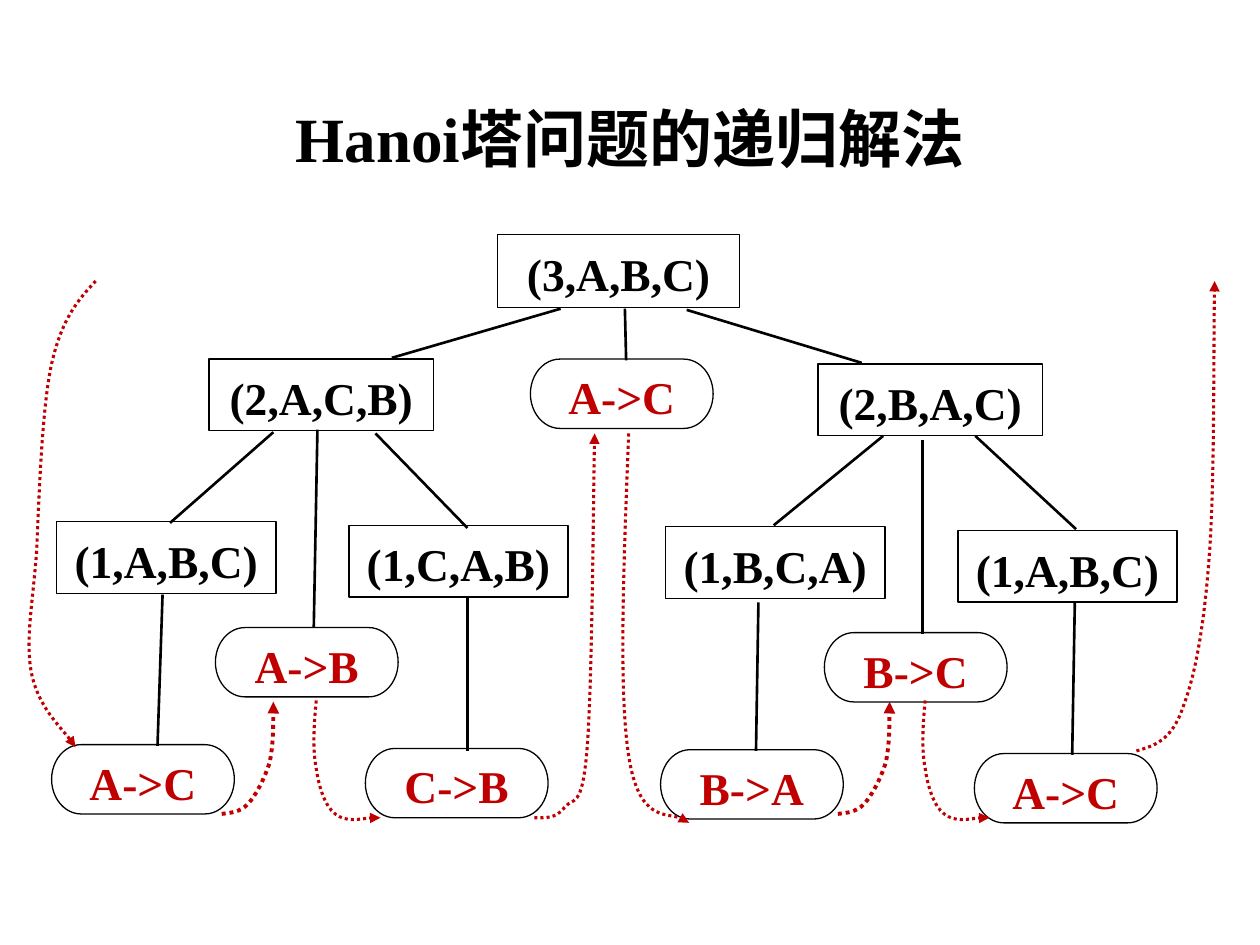
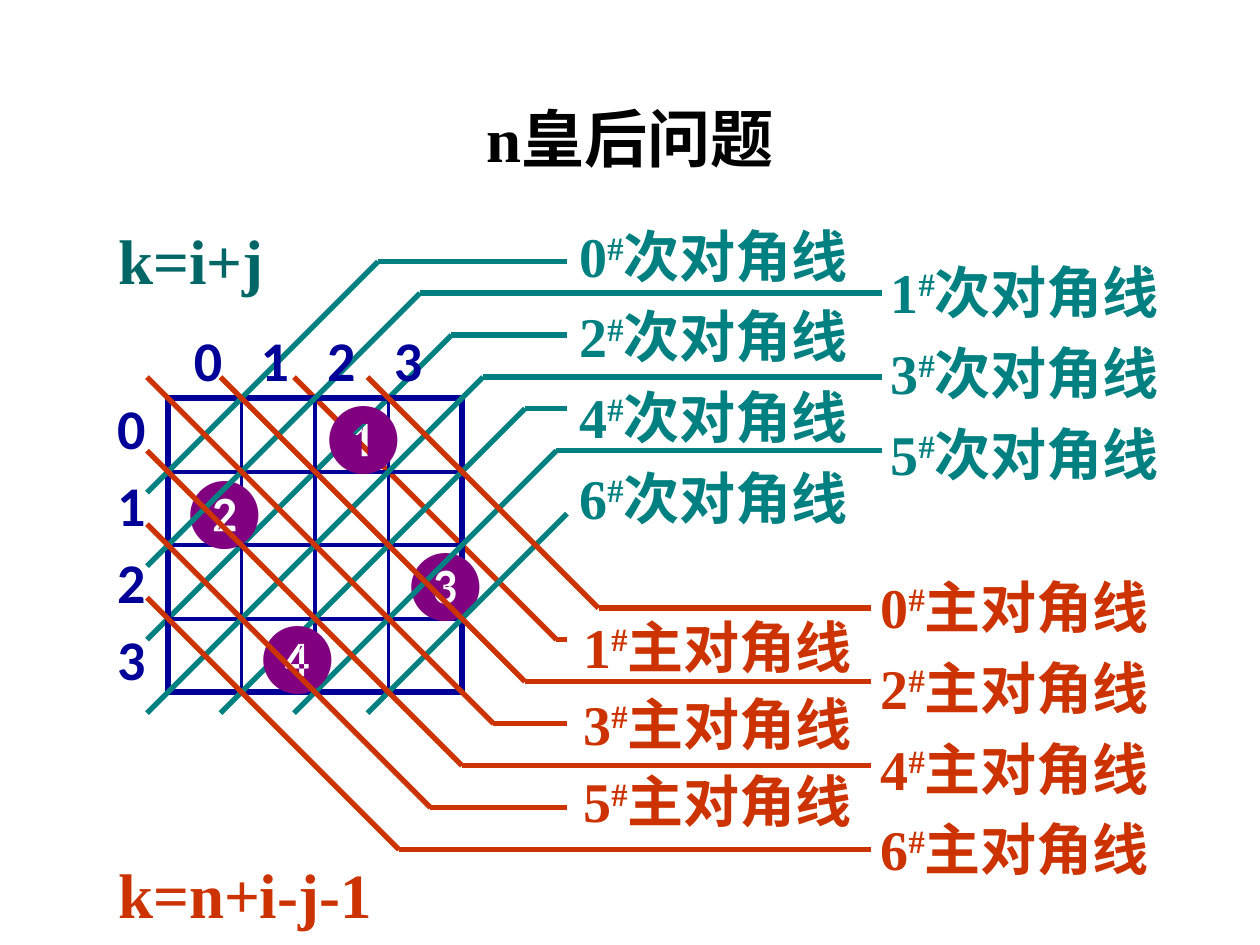
from dataclasses import dataclass
from typing import NamedTuple

from lxml.etree import SubElement
from pptx import Presentation
from pptx.dml.color import RGBColor
from pptx.enum.dml import MSO_LINE
from pptx.enum.shapes import MSO_CONNECTOR, MSO_SHAPE
from pptx.enum.text import MSO_ANCHOR, PP_ALIGN
from pptx.oxml.ns import qn
from pptx.shapes.autoshape import Shape
from pptx.slide import Slide
from pptx.text.text import TextFrame
from pptx.util import Pt


class Point(NamedTuple):
    x: float
    y: float


class Area(NamedTuple):
    left: float
    top: float
    width: float
    height: float


class TextStyle(NamedTuple):
    size: float
    color: RGBColor
    font: str = "Times New Roman"
    bold: bool = True
    east_asian: str = "Noto Sans CJK SC"


@dataclass(frozen=True)
class Theme:
    black: RGBColor = RGBColor(0, 0, 0)
    red: RGBColor = RGBColor(0xC0, 0, 0)
    teal: RGBColor = RGBColor(0, 0x80, 0x80)
    dark_teal: RGBColor = RGBColor(0, 0x66, 0x66)
    orange: RGBColor = RGBColor(0xCC, 0x33, 0)
    navy: RGBColor = RGBColor(0, 0, 0x99)
    purple: RGBColor = RGBColor(0x80, 0, 0x80)
    title_size: float = 36
    label_size: float = 32
    node_size: float = 26
    queen_size: float = 40
    outline: float = 0.75
    edge: float = 1.5
    thin: float = 2.25
    thick: float = 3


THEME = Theme()


class Node(NamedTuple):
    text: str
    area: Area
    is_move: bool = False


class Curve(NamedTuple):
    points: list[tuple[float, float]]
    shift: float = 0
    width: float = 1.75


class Diagonal(NamedTuple):
    start: Point
    bend: Point
    leader_end: float
    color: RGBColor


class LabelColumn(NamedTuple):
    area: Area
    numbers: range
    name: str
    color: RGBColor
    spacing: float = 1.2


def fill_text(frame: TextFrame, lines: list[str], style: TextStyle,
              spacing: float | None = None, align: PP_ALIGN = PP_ALIGN.LEFT) -> None:
    for index, line in enumerate(lines):
        para = frame.add_paragraph() if index else frame.paragraphs[0]
        para.alignment = align
        para.line_spacing = spacing
        para.font.size = Pt(style.size)
        para.font.bold = style.bold
        para.font.color.rgb = style.color
        para.font.name = style.font
        defaults = para._p.get_or_add_pPr().find(qn("a:defRPr"))
        if style.east_asian:
            SubElement(defaults, qn("a:ea"), typeface=style.east_asian)
        for piece in filter(None, line.partition("#")):
            span = para.add_run()
            span.text = piece
            if piece == "#":
                span._r.get_or_add_rPr().set("baseline", "30000")


def add_text(page: Slide, area: Area, lines: list[str], style: TextStyle,
             spacing: float | None = None, wrap: bool = False,
             align: PP_ALIGN = PP_ALIGN.LEFT) -> Shape:
    box = page.shapes.add_textbox(*map(Pt, area))
    box.text_frame.word_wrap = wrap
    fill_text(box.text_frame, lines, style, spacing, align)
    return box


def add_line(page: Slide, start: Point, end: Point, color: RGBColor, width: float) -> None:
    line = page.shapes.add_connector(MSO_CONNECTOR.STRAIGHT, *map(Pt, (*start, *end)))
    line.line.color.rgb = color
    line.line.width = Pt(width)
    SubElement(line._element.spPr, qn("a:effectLst"))


def add_title(page: Slide, text: str) -> None:
    box = add_text(page, Area(49.7, 28.8, 620.6, 104.4), [text],
                   TextStyle(THEME.title_size, THEME.black), 0.9, True, PP_ALIGN.CENTER)
    box.text_frame.vertical_anchor = MSO_ANCHOR.MIDDLE


def add_node(page: Slide, node: Node, shift: Point = Point(0, 0)) -> None:
    kind = MSO_SHAPE.FLOWCHART_TERMINATOR if node.is_move else MSO_SHAPE.RECTANGLE
    left, top, width, height = node.area
    shape = page.shapes.add_shape(
        kind, Pt(left + shift.x), Pt(top + shift.y), Pt(width), Pt(height))
    shape.shadow.inherit = False
    shape.fill.background()
    shape.line.color.rgb = THEME.black
    shape.line.width = Pt(THEME.outline)
    frame = shape.text_frame
    frame.word_wrap = False
    frame.vertical_anchor = MSO_ANCHOR.MIDDLE
    frame.margin_left = frame.margin_right = frame.margin_bottom = 0
    frame.margin_top = Pt(3)
    color = THEME.red if node.is_move else THEME.black
    fill_text(frame, [node.text], TextStyle(THEME.node_size, color), align=PP_ALIGN.CENTER)


def add_curve(page: Slide, curve: Curve) -> None:
    points = [(Pt(x + curve.shift), Pt(y)) for x, y in curve.points]
    builder = page.shapes.build_freeform(*points[0])
    builder.add_line_segments(points[1:], close=False)
    shape = builder.convert_to_shape()
    segments = list(shape._element.iter(qn("a:lnTo")))
    outline = segments[0].getparent()
    for first in range(0, len(segments), 3):
        bend = SubElement(outline, qn("a:cubicBezTo"))
        for segment in segments[first:first + 3]:
            bend.append(segment[0])
            outline.remove(segment)
    shape.shadow.inherit = False
    shape.fill.background()
    shape.line.color.rgb = THEME.red
    shape.line.width = Pt(curve.width)
    shape.line.dash_style = MSO_LINE.ROUND_DOT
    SubElement(shape._element.spPr.find(qn("a:ln")), qn("a:tailEnd"), type="triangle")


def move(text: str, left: float, top: float) -> Node:
    return Node(text, Area(left, top, 104.4, 39.6), True)


ROOT_NODES = [Node("(3,A,B,C)", Area(284.4, 133.9, 138.2, 41.8)), move("A->C", 303.1, 205.2)]
SUBTREE_NODES = [
    Node("", Area(119.5, 205.2, 128.2, 41)),
    Node("", Area(32.4, 298.1, 125.3, 41)),
    Node("", Area(199.4, 300.2, 125.3, 41)),
    move("", 29.5, 425.5),
    move("", 123.1, 358.6),
    move("", 208.8, 427.7),
]
SUBTREES = [
    (Point(0, 0), ["(2,A,C,B)", "(1,A,B,C)", "(1,C,A,B)", "A->C", "A->B", "C->B"]),
    (Point(348, 2.9), ["(2,B,A,C)", "(1,B,C,A)", "(1,A,B,C)", "B->A", "B->C", "A->C"]),
]
TREE_EDGES = [
    (320.4, 176.4, 223.9, 204.5), (357.1, 176.4, 357.8, 205.9), (392.4, 177.1, 492.5, 207.4),
    (156.2, 247, 97.2, 298.8), (181.4, 245.5, 179.3, 358.6), (214.6, 247.7, 267.1, 301.7),
    (92.9, 339.8, 90, 426.2), (267.1, 341.3, 267.1, 429.1),
    (504.7, 249.1, 442.1, 300.2), (527, 251.3, 527, 362.2), (557.3, 249.1, 614.9, 302.4),
    (433.4, 344.2, 432, 429.1), (614.2, 344.2, 612.7, 431.3),
]
RISE = [(126.7, 465.1), (131.8, 464.4), (136.8, 464.4), (141.8, 459.4), (146.2, 454.3),
        (151.2, 445), (154.1, 435.6), (156.2, 425.5), (156.2, 406.8), (156.2, 401)]
DROP = [(180.7, 400.3), (179.3, 414.7), (178.6, 428.4), (180.7, 439.2), (182.2, 450),
        (185.8, 460.8), (191.5, 465.1), (198, 470.2), (213.1, 466.6), (217.4, 467.3)]
CLIMB = [(305.3, 467.3), (311.8, 467.3), (317.5, 468), (322.6, 461.5), (327.6, 455),
         (332.6, 463.7), (335.5, 427.7), (338.4, 392.4), (339.1, 277.9), (339.8, 247.7)]
DESCEND = [(359.3, 247.7), (356.4, 321.1), (353.5, 395.3), (359.3, 432),
           (365, 469.4), (388.1, 463.7), (393.8, 470.2)]
ENTER = [(54.7, 160.6), (44.6, 171.4), (35.3, 182.2), (29.5, 208.1), (23.8, 234),
         (22.3, 286.6), (20.9, 316.1), (18.7, 344.9), (14.4, 366.5), (18, 384.5),
         (21.6, 403.2), (38.9, 419.8), (43.2, 427)]
LEAVE = [(649.4, 429.1), (659.5, 426.2), (669.6, 423.4), (676.1, 403.9), (683.3, 385.2),
         (688.3, 356.4), (691.2, 315.4), (694.1, 275), (693.4, 186.5), (694.1, 160.6)]
CALL_ORDER = [
    Curve(ENTER), Curve(RISE, width=2.25), Curve(DROP), Curve(CLIMB), Curve(DESCEND),
    Curve(RISE, 352.1, 2.25), Curve(DROP, 348), Curve(LEAVE),
]

BOARD = Point(96, 227.5)
CELL = 42
SIDE = 4
OVERHANG = 12
SECONDARY_BENDS = [149.5, 167.5, 191.5, 215.5, 233.5, 257.5, 293.5]
MAIN_BENDS = [347.5, 365.5, 389.5, 413.5, 437.5, 461.5, 485.5]
QUEENS = [("❶", 174.2, 221), ("❷", 95, 263.5), ("❸", 221, 304.6), ("❹", 136.8, 346.3)]
LABELS = [
    LabelColumn(Area(324, 115.2, 183.6, 191.5), range(0, 7, 2), "次对角线", THEME.teal),
    LabelColumn(Area(501.8, 136.1, 190.1, 145.4), range(1, 6, 2), "次对角线", THEME.teal),
    LabelColumn(Area(496.1, 316.1, 198, 191.5), range(0, 7, 2), "主对角线", THEME.orange),
    LabelColumn(Area(326.2, 340.6, 188.6, 139.7), range(1, 6, 2), "主对角线", THEME.orange, 1.15),
]


def secondary_diagonal(number: int) -> Diagonal:
    column = max(0, number - SIDE + 1)
    row = min(number, SIDE - 1)
    start = Point(BOARD.x - OVERHANG + CELL * column,
                  BOARD.y + OVERHANG + CELL * (row + 1))
    height = SECONDARY_BENDS[number]
    bend = Point(start.x + start.y - height, height)
    return Diagonal(start, bend, 504 if number % 2 else 324, THEME.teal)


def main_diagonal(number: int) -> Diagonal:
    column = max(0, SIDE - 1 - number)
    row = max(0, number - SIDE + 1)
    start = Point(BOARD.x - OVERHANG + CELL * column, BOARD.y - OVERHANG + CELL * row)
    height = MAIN_BENDS[number]
    bend = Point(start.x + height - start.y, height)
    return Diagonal(start, bend, 324 if number % 2 else 498, THEME.orange)


def add_diagonal(page: Slide, diagonal: Diagonal) -> None:
    add_line(page, diagonal.start, diagonal.bend, diagonal.color, THEME.thick)
    if diagonal.leader_end > diagonal.bend.x:
        end = Point(diagonal.leader_end, diagonal.bend.y)
        add_line(page, diagonal.bend, end, diagonal.color, THEME.thick)


def add_board(page: Slide) -> None:
    far = Point(BOARD.x + CELL * SIDE, BOARD.y + CELL * SIDE)
    for index in range(SIDE + 1):
        width = THEME.thick if index in (0, SIDE) else THEME.thin
        x, y = BOARD.x + CELL * index, BOARD.y + CELL * index
        add_line(page, Point(BOARD.x, y), Point(far.x, y), THEME.navy, width)
        add_line(page, Point(x, BOARD.y), Point(x, far.y), THEME.navy, width)


def add_queen(page: Slide, text: str, left: float, top: float) -> None:
    style = TextStyle(THEME.queen_size, THEME.purple, "Calibri", False, "")
    add_text(page, Area(left, top, 50.4, 55.4), [text], style)


def add_indices(page: Slide) -> None:
    style = TextStyle(THEME.label_size, THEME.navy, "Calibri", True, "")
    digits = [str(index) for index in range(SIDE)]
    columns = add_text(page, Area(103.7, 182.2, 166.3, 45.4), ["\t".join(digits)], style, wrap=True)
    properties = columns.text_frame.paragraphs[0]._p.get_or_add_pPr()
    stops = SubElement(properties, qn("a:tabLst"))
    properties.find(qn("a:defRPr")).addprevious(stops)
    for index in range(1, SIDE):
        SubElement(stops, qn("a:tab"), pos=str(Pt(38.1 * index)), algn="l")
    add_text(page, Area(59.8, 215.3, 30.2, 183.6), digits, style, 1.15)


def build_hanoi(page: Slide) -> None:
    add_title(page, "Hanoi塔问题的递归解法")
    for node in ROOT_NODES:
        add_node(page, node)
    for shift, texts in SUBTREES:
        for node, text in zip(SUBTREE_NODES, texts):
            add_node(page, node._replace(text=text), shift)
    for x1, y1, x2, y2 in TREE_EDGES:
        add_line(page, Point(x1, y1), Point(x2, y2), THEME.black, THEME.edge)
    for curve in CALL_ORDER:
        add_curve(page, curve)


def build_queens(page: Slide) -> None:
    add_title(page, "n皇后问题")
    add_diagonal(page, main_diagonal(1))
    add_diagonal(page, secondary_diagonal(2))
    add_board(page)
    for queen in QUEENS[:3]:
        add_queen(page, *queen)
    for number in (0, 1, 3, 4, 5, 6):
        add_diagonal(page, secondary_diagonal(number))
    for number in (0, 2, 4, 6):
        add_diagonal(page, main_diagonal(number))
    add_queen(page, *QUEENS[3])
    for number in (3, 5):
        add_diagonal(page, main_diagonal(number))
    for column in LABELS:
        add_text(page, column.area, [f"{number}#{column.name}" for number in column.numbers],
                 TextStyle(THEME.label_size, column.color), column.spacing, True)
    add_indices(page)
    add_text(page, Area(60.5, 123.1, 98.6, 51.1), ["k=i+j"],
             TextStyle(THEME.title_size, THEME.dark_teal))
    add_text(page, Area(60.5, 485.3, 161.3, 51.1), ["k=n+i-j-1"],
             TextStyle(THEME.title_size, THEME.orange))


def main() -> None:
    deck = Presentation()
    deck.slide_width, deck.slide_height = Pt(720), Pt(540)
    for build in (build_hanoi, build_queens):
        build(deck.slides.add_slide(deck.slide_layouts[6]))
    deck.save("out.pptx")


if __name__ == "__main__":
    main()
